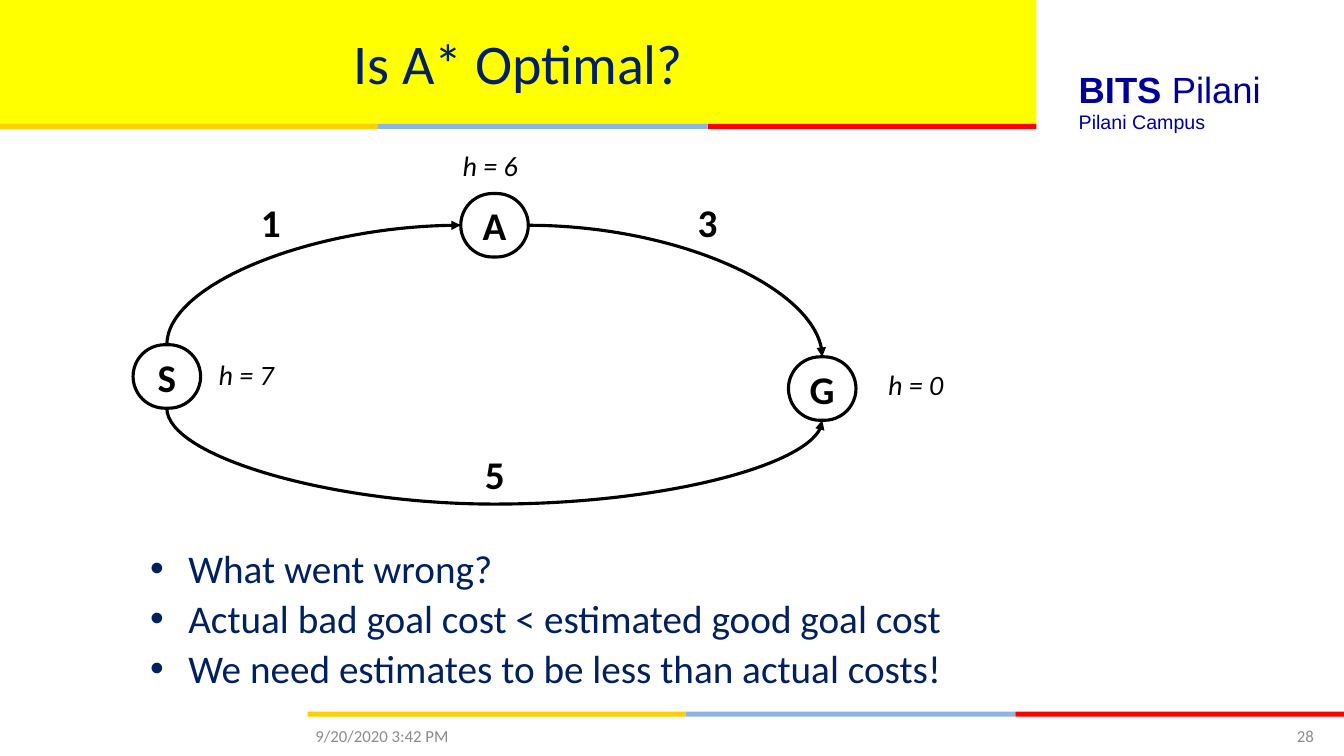
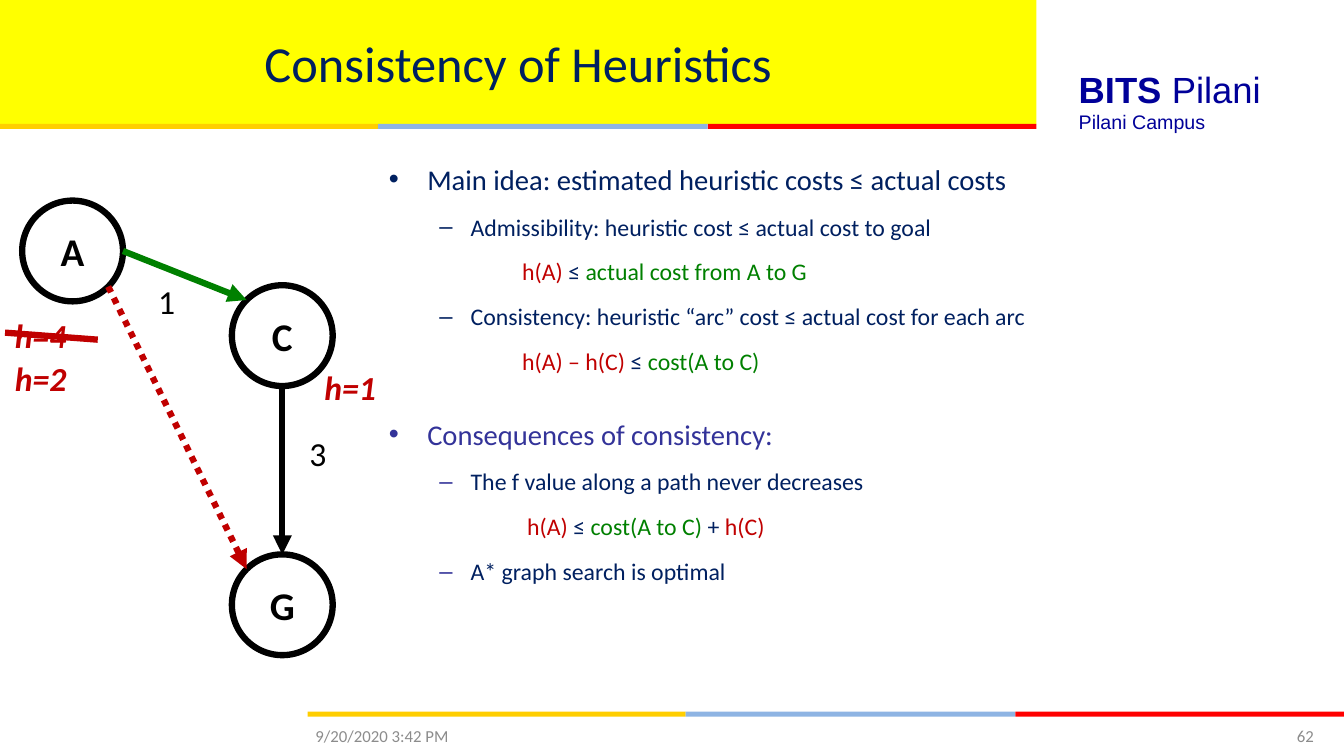
import dataclasses
import math

import pptx
import pptx.dml.color
import pptx.enum.dml
import pptx.enum.shapes
import pptx.enum.text
import pptx.oxml
import pptx.oxml.ns
import pptx.util

Inches = pptx.util.Inches
Pt = pptx.util.Pt
qn = pptx.oxml.ns.qn
SHAPE = pptx.enum.shapes.MSO_SHAPE
LINK = pptx.enum.shapes.MSO_CONNECTOR
ALIGN = pptx.enum.text.PP_ALIGN
MID = pptx.enum.text.MSO_ANCHOR.MIDDLE


@dataclasses.dataclass(frozen=True)
class Theme:
    font: str = "Calibri"
    sans: str = "Arial"
    navy: str = "002060"
    black: str = "000000"
    white: str = "FFFFFF"
    gray: str = "8C8C8C"
    red: str = "C00000"
    green: str = "008000"
    violet: str = "333399"
    brand: str = "000099"
    yellow: str = "FFFF00"
    bands: tuple = (("FFCE00", 3.75), ("8EB4E3", 3.27), ("FF0000", 3.26))
    node: float = 28
    cost: float = 24
    guess: float = 20
    body: float = 28
    main: float = 20.4
    sub: float = 17
    small: float = 12


T = Theme()


def color(code):
    return pptx.dml.color.RGBColor.from_string(code)


# Text helpers
def write(para, text, size, code=T.black, bold=False, italic=False, font=T.font):
    run = para.add_run()
    run.text = text
    face = run.font
    face.name, face.size, face.bold, face.italic = font, Pt(size), bold, italic
    face.color.rgb = color(code)


def frame(slide, left, top, width, height):
    box = slide.shapes.add_textbox(Inches(left), Inches(top), Inches(width), Inches(height))
    box.text_frame.word_wrap = True
    return box.text_frame


def label(slide, left, top, text, size, width=0.5, **style):
    area = frame(slide, left, top, width, 0.5)
    write(area.paragraphs[0], text, size, **style)


def bullet(para, mark, margin, hang, code=T.navy):
    props = para._p.get_or_add_pPr()
    props.set("marL", str(Inches(margin)))
    props.set("indent", str(-Inches(hang)))
    if mark:
        tint = pptx.oxml.parse_xml(
            f'<a:buClr {pptx.oxml.ns.nsdecls("a")}><a:srgbClr val="{code}"/></a:buClr>')
        face = props.makeelement(qn("a:buFont"), {"typeface": T.sans})
        sign = props.makeelement(qn("a:buChar"), {"char": mark})
        props.extend([tint, face, sign])
    else:
        props.append(props.makeelement(qn("a:buNone"), {}))


# Shape helpers
def block(slide, kind, left, top, width, height, fill=None, edge=None, weight=0):
    shape = slide.shapes.add_shape(
        kind, Inches(left), Inches(top), Inches(width), Inches(height))
    shape.shadow.inherit = False
    if fill:
        shape.fill.solid()
        shape.fill.fore_color.rgb = color(fill)
    else:
        shape.fill.background()
    if edge:
        shape.line.color.rgb = color(edge)
        shape.line.width = Pt(weight)
    else:
        shape.line.fill.background()
    return shape


def node(slide, kind, name, left, top, width, height, fill, weight):
    shape = block(slide, kind, left, top, width, height, fill, T.black, weight)
    shape.text_frame.vertical_anchor = MID
    para = shape.text_frame.paragraphs[0]
    para.alignment = ALIGN.CENTER
    write(para, name, T.node, bold=True)
    return shape


def ink(link, code, weight, dash=None, arrow=True):
    link.line.color.rgb = color(code)
    link.line.width = Pt(weight)
    if dash:
        link.line.dash_style = dash
    props = link.element.spPr
    if arrow:
        line = props.get_or_add_ln()
        line.append(line.makeelement(qn("a:tailEnd"), {"type": "triangle"}))
    props.append(props.makeelement(qn("a:effectLst"), {}))


def side(shape, site):
    across, down = ((0.5, 0), (0, 0.5), (0.5, 1), (1, 0.5))[site]
    return (int(shape.left + shape.width * across),
            int(shape.top + shape.height * down))


def curve(slide, first, start, last, end, preset, turn=0, flips=(), bend=None):
    """Join two nodes by a curve, turned about its middle."""
    (x1, y1), (x2, y2) = side(first, start), side(last, end)
    link = slide.shapes.add_connector(LINK.CURVE, x1, y1, x2, y2)
    link.begin_connect(first, start)
    link.end_connect(last, end)
    wide, high = abs(x2 - x1), abs(y2 - y1)
    if turn % 180:
        wide, high = high, wide
    link.left, link.top = (x1 + x2 - wide) // 2, (y1 + y2 - high) // 2
    link.width, link.height = wide, high
    props = link.element.spPr
    form = props.find(qn("a:xfrm"))
    for flip in ("flipH", "flipV"):
        form.set(flip, "1" if flip in flips else "0")
    form.set("rot", str(turn * 60000))
    shape = props.find(qn("a:prstGeom"))
    shape.set("prst", preset)
    if bend:
        guides = shape.find(qn("a:avLst"))
        guides.append(guides.makeelement(
            qn("a:gd"), {"name": "adj1", "fmla": f"val {round(bend * 100000)}"}))
    ink(link, T.black, 2.25)


def rim(shape, angle):
    turn = math.radians(angle)
    return (int(shape.left + shape.width * (1 + math.cos(turn)) / 2),
            int(shape.top + shape.height * (1 + math.sin(turn)) / 2))


def line(slide, start, end, code, dash=None, arrow=True):
    link = slide.shapes.add_connector(LINK.STRAIGHT, *start, *end)
    ink(link, code, 4.5, dash, arrow)


# Shared parts: title, bands, school name, footer
def strip(slide, left, top):
    for code, width in T.bands:
        block(slide, SHAPE.RECTANGLE, left, top, width, 0.05, code)
        left += width


def base(deck, title, size, number):
    slide = deck.slides.add_slide(deck.slide_layouts[5])
    head = slide.shapes.title
    head.left, head.top = Inches(0), Inches(0)
    head.width, head.height = Inches(10.28), Inches(1.23)
    head.fill.solid()
    head.fill.fore_color.rgb = color(T.yellow)
    head.text_frame.vertical_anchor = MID
    head.text_frame.auto_size = pptx.enum.text.MSO_AUTO_SIZE.NONE
    para = head.text_frame.paragraphs[0]
    para.alignment = ALIGN.CENTER
    write(para, title, size, T.navy)
    strip(slide, 0, 1.23)
    strip(slide, 3.05, 7.06)

    para = frame(slide, 10.6, 0.62, 2.7, 0.54).paragraphs[0]
    write(para, "BITS ", 26, T.brand, bold=True, font=T.sans)
    write(para, "Pilani", 26, T.brand, font=T.sans)
    label(slide, 10.6, 1.04, "Pilani Campus", 14, 2.39, code=T.brand, font=T.sans)

    for left, width, text, align in ((3.03, 3.11, "9/20/2020 3:42 PM", ALIGN.LEFT),
                                     (11.67, 1.46, number, ALIGN.RIGHT)):
        area = frame(slide, left, 7.1, width, 0.4)
        area.vertical_anchor = MID
        area.paragraphs[0].alignment = align
        write(area.paragraphs[0], text, T.small, T.gray)
    return slide


# Bulleted text: each row is (level, mark, mark colour, margin, space, runs)
def points(slide, box, rows, sizes, spacing):
    area = frame(slide, *box)
    for index, (level, mark, tint, margin, space, runs) in enumerate(rows):
        para = area.add_paragraph() if index else area.paragraphs[0]
        para.level = level
        para.line_spacing = spacing
        para.space_before = Pt(space if index else 0)
        hang = (0.38, 0.31)[level] if mark else 0
        bullet(para, mark, margin, hang, tint)
        for text, code in runs:
            write(para, text, sizes[level], code)


def top(text, code=T.navy, space=4):
    return 0, "•", code, 0.38, space, [(text, code)]


def sub(text, tint=T.navy):
    return 1, "–", tint, 0.81, 3.4, [(text, T.navy)]


def rule(*runs, margin=1.32):
    return 1, None, T.navy, margin, 3.4, runs


# Graph with curved arcs
def arcs(slide, x, y):
    spots = {"A": (3.25, 0.5), "G": (6.5, 2.12), "S": (0, 2)}
    nodes = {}
    for name, (dx, dy) in spots.items():
        nodes[name] = node(slide, SHAPE.ROUNDED_RECTANGLE, name, x + dx, y + dy,
                           0.67, 0.63, None, 2.25)
        nodes[name].adjustments[0] = 0.5
    a, g, s = nodes["A"], nodes["G"], nodes["S"]
    curve(slide, s, 2, g, 2, "curvedConnector3", 270, ("flipH",), 7.92)
    curve(slide, s, 0, a, 1, "curvedConnector2", 90, ("flipH", "flipV"))
    curve(slide, a, 3, g, 0, "curvedConnector2")
    for dx, dy, text in ((1.17, 0.5, "1"), (5.5, 0.5, "3"), (3.39, 3, "5")):
        label(slide, x + dx, y + dy, text, T.node, bold=True)
    for dx, dy, text in ((3.17, 0, "h = 6"), (7.39, 2.18, "h = 0"), (0.75, 2.08, "h = 7")):
        label(slide, x + dx, y + dy, text, T.guess, 1, italic=True)


# Graph with straight arrows
def steps(slide, x, y):
    spots = {"A": (0.17, 0), "C": (2.25, 0.84), "G": (2.25, 3.51)}
    nodes = {name: node(slide, SHAPE.OVAL, name, x + dx, y + dy, 1, 1, T.white, 4.5)
             for name, (dx, dy) in spots.items()}
    a, c, g = nodes["A"], nodes["C"], nodes["G"]
    dots = pptx.enum.dml.MSO_LINE.ROUND_DOT
    line(slide, rim(c, 90), rim(g, 270), T.black)
    line(slide, rim(a, 45), rim(g, 225), T.red, dots)
    line(slide, rim(a, 0), rim(c, 225), T.green)
    for dx, dy, text in ((1.42, 0.75, "1"), (2.92, 2.26, "3")):
        label(slide, x + dx, y + dy, text, T.cost)
    for dx, dy, text in ((0, 1.09, "h=4"), (0, 1.51, "h=2"), (3.07, 1.6, "h=1")):
        label(slide, x + dx, y + dy, text, T.cost, 0.8, code=T.red, bold=True, italic=True)
    # Strike out the first guess
    line(slide, (Inches(x), Inches(y + 1.31)),
         (Inches(x + 0.92), Inches(y + 1.38)), T.red, arrow=False)


def optimal(deck):
    slide = base(deck, "Is A* Optimal?", 40, "28")
    arcs(slide, 1.32, 1.42)
    rows = [top(text, space=5.6) for text in (
        "What went wrong?",
        "Actual bad goal cost < estimated good goal cost",
        "We need estimates to be less than actual costs!")]
    points(slide, (1.39, 5.4, 10.47, 1.6), rows, (T.body, T.body), 0.9)


def consistent(deck):
    slide = base(deck, "Consistency of Heuristics", 36, "62")
    steps(slide, 0.05, 1.99)
    rows = [
        top("Main idea: estimated heuristic costs ≤ actual costs"),
        sub("Admissibility: heuristic cost ≤ actual cost to goal"),
        rule(("h(A) ", T.red), ("≤ ", T.navy), ("actual cost from A to G", T.green)),
        sub("Consistency: heuristic “arc” cost ≤ actual cost for each arc"),
        rule(("h(A) – h(C) ", T.red), ("≤ ", T.navy), ("cost(A to C)", T.green)),
        top("Consequences of consistency:", T.violet, 20),
        sub("The f value along a path never decreases", T.violet),
        rule(("h(A) ", T.red), ("≤ ", T.navy), ("cost(A to C) ", T.green),
             ("+ ", T.navy), ("h(C)", T.red), margin=1.37),
        sub("A* graph search is optimal", T.violet),
    ]
    points(slide, (3.76, 1.42, 6.8, 4.93), rows, (T.main, T.sub), 1.4)


def main():
    deck = pptx.Presentation()
    deck.slide_width, deck.slide_height = Inches(13.33), Inches(7.5)
    optimal(deck)
    consistent(deck)
    deck.save("out.pptx")


if __name__ == "__main__":
    main()
